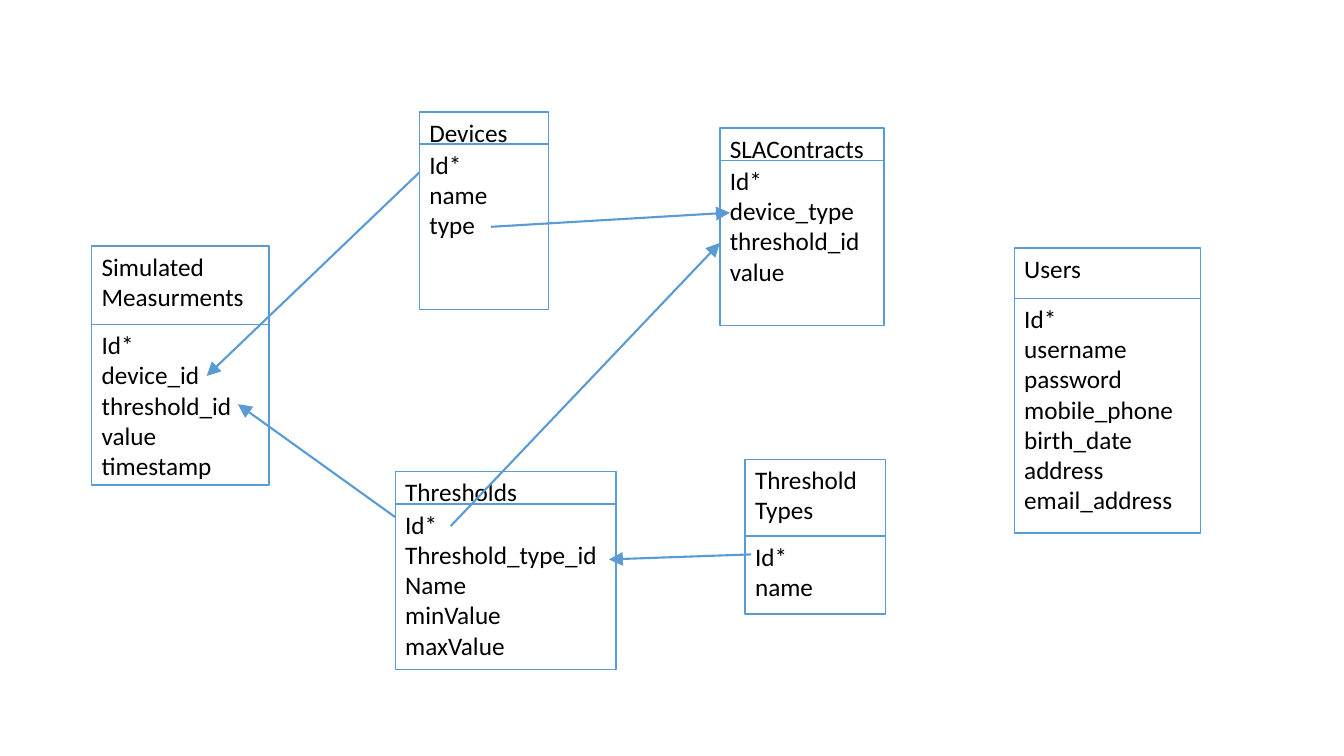
from dataclasses import dataclass

from lxml import etree
from pptx import Presentation
from pptx import util as u
from pptx.dml.color import RGBColor
from pptx.enum import shapes, text
from pptx.oxml import ns


@dataclass(frozen=True)
class Theme:
    """Colours, font and sizes of the diagram."""
    paper: RGBColor = RGBColor(0xFF, 0xFF, 0xFF)
    ink: RGBColor = RGBColor(0, 0, 0)
    accent: RGBColor = RGBColor(0x5B, 0x9B, 0xD5)
    font: str = "Calibri"
    text_size: u.Pt = u.Pt(18)
    border: u.Pt = u.Pt(1)
    arrow: u.Pt = u.Pt(1.5)


THEME = Theme()
FONT_FORMAT = {"name": THEME.font, "size": THEME.text_size}
FRAME_FORMAT = {"word_wrap": True, "vertical_anchor": text.MSO_ANCHOR.TOP}
ARROWHEAD = {"type": "triangle", "w": "lg", "len": "lg"}

# name, fields, (left, top, width), header height, body height
ENTITIES = [
    ("Devices", ["Id*", "name", "type"], (4.16, 1.11, 1.28), 0.32, 1.64),
    ("Simulated Measurments",
     ["Id*", "device_id", "threshold_id", "value", "timestamp"],
     (0.91, 2.44, 1.76), 0.78, 1.59),
    ("SLAContracts", ["Id*", "device_type", "threshold_id", "value"],
     (7.14, 1.27, 1.63), 0.32, 1.64),
    ("Thresholds",
     ["Id*", "Threshold_type_id", "Name", "minValue", "maxValue"],
     (3.92, 4.68, 2.19), 0.32, 1.64),
    ("Threshold Types", ["Id*", "name"], (7.39, 4.56, 1.39), 0.76, 0.77),
    ("Users",
     ["Id*", "username", "password", "mobile_phone", "birth_date",
      "address", "email_address"],
     (10.06, 2.46, 1.85), 0.5, 2.33),
]

# referenced field -> referring field, where the arrowhead sits
RELATIONS = [
    ((4.16, 1.71), (2.05, 3.73)),  # Devices.Id -> Measurments.device_id
    ((3.92, 5.13), (2.36, 4.01)),  # Thresholds.Id -> Measurments.threshold_id
    ((4.87, 2.25), (7.24, 2.11)),  # Devices.type -> SLAContracts.device_type
    ((4.47, 5.22), (7.14, 2.41)),  # Thresholds.Id -> SLAContracts.threshold_id
    ((7.45, 5.5), (6.04, 5.55)),   # Types.Id -> Thresholds.Threshold_type_id
]


def apply_format(target, values):
    """Set each attribute named in values."""
    for name, value in values.items():
        setattr(target, name, value)


def add_box(group, lines, left, top, width, height):
    """Add one outlined box with a paragraph per line."""
    shape = group.shapes.add_shape(
        shapes.MSO_SHAPE.RECTANGLE,
        *(u.Inches(length) for length in (left, top, width, height)))
    shape.shadow.inherit = False
    shape.fill.solid()
    shape.fill.fore_color.rgb = THEME.paper
    shape.line.color.rgb = THEME.accent
    shape.line.width = THEME.border
    frame = shape.text_frame
    apply_format(frame, FRAME_FORMAT)
    for index, line in enumerate(lines):
        paragraph = frame.add_paragraph() if index else frame.paragraphs[0]
        paragraph.alignment = text.PP_ALIGN.LEFT
        run = paragraph.add_run()
        run.text = line
        apply_format(run.font, FONT_FORMAT)
        run.font.color.rgb = THEME.ink


def add_entity(slide, name, fields, place, header_height, body_height):
    """Group a header box with the field box right below it."""
    left, top, width = place
    group = slide.shapes.add_group_shape()
    add_box(group, [name], left, top, width, header_height)
    add_box(group, fields, left, top + header_height, width, body_height)


def add_relation(slide, start, end):
    """Draw an arrow from a referenced field to the referring one."""
    connector = slide.shapes.add_connector(
        shapes.MSO_CONNECTOR.STRAIGHT,
        *(u.Inches(length) for length in start + end))
    connector.line.color.rgb = THEME.accent
    connector.line.width = THEME.arrow
    properties = connector._element.spPr
    outline = properties.find(ns.qn("a:ln"))
    etree.SubElement(outline, ns.qn("a:tailEnd"), ARROWHEAD)
    etree.SubElement(properties, ns.qn("a:effectLst"))


presentation = Presentation()
presentation.slide_width = u.Inches(13.33)
presentation.slide_height = u.Inches(7.5)
slide = presentation.slides.add_slide(presentation.slide_layouts[6])
for entity in ENTITIES:
    add_entity(slide, *entity)
for relation in RELATIONS:
    add_relation(slide, *relation)
presentation.save("out.pptx")
